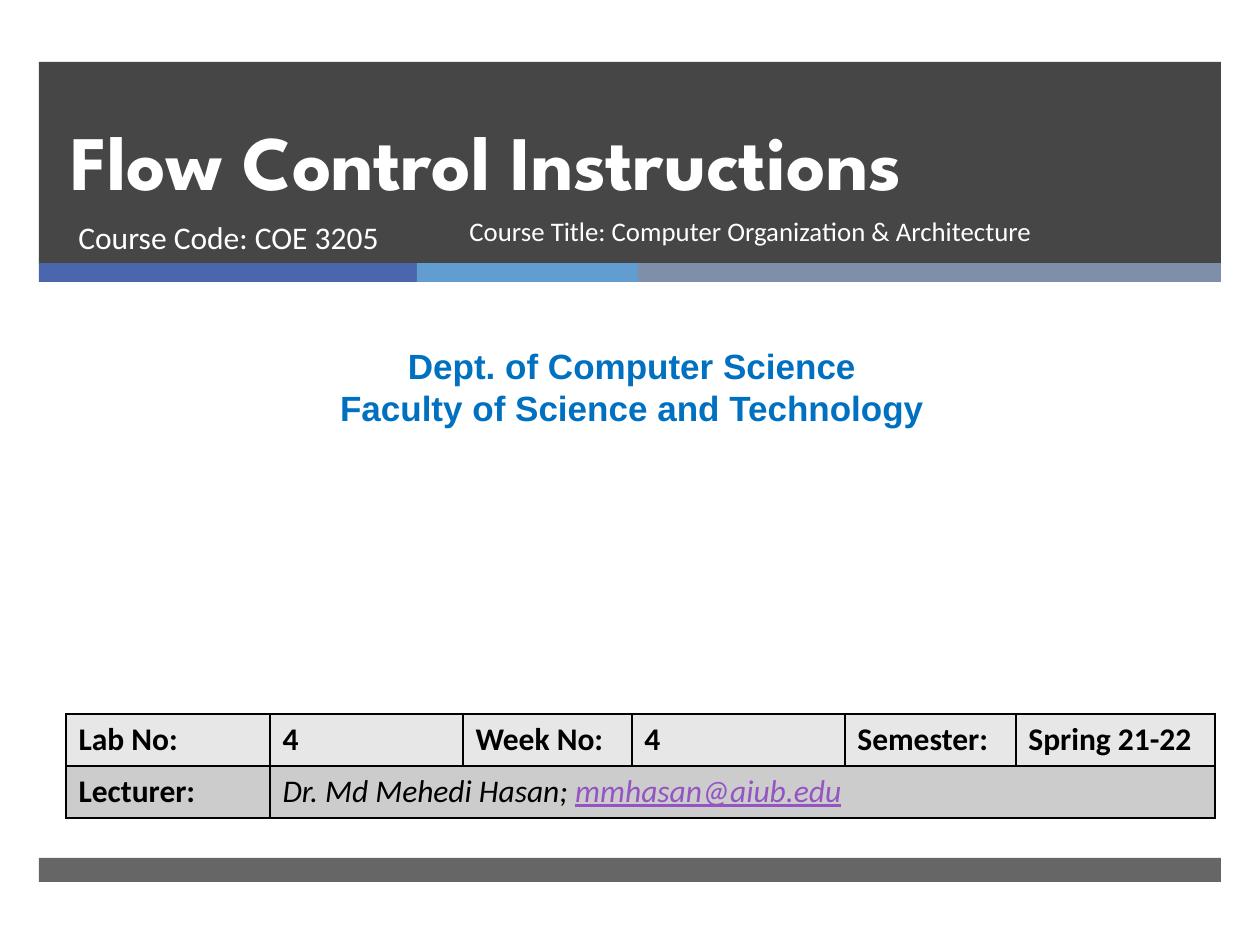
"""Build the title slide of a lab on flow control instructions."""
import pptx
import pptx.util
import pptx.dml.color
import pptx.enum.shapes
import pptx.enum.text
import pptx.oxml
import pptx.oxml.ns
from dataclasses import dataclass

SCALE = 914400 / 126


@dataclass(frozen=True)
class Theme:
    dark: str = "262626"
    white: str = "FFFFFF"
    black: str = "000000"
    blue: str = "0070C0"
    link: str = "9454C3"
    bars: tuple = ("4A66AC", "629DD1", "7F8FA9")
    rows: tuple = ("E7E7E7", "CCCCCC")
    head: str = "League Spartan"
    body: str = "Calibri"
    sans: str = "Arial"
    big: float = 44
    mid: float = 20
    base: float = 18
    small: float = 15.3


def emu(px):
    return pptx.util.Emu(round(px * SCALE))


def rgb(code):
    return pptx.dml.color.RGBColor.from_string(code)


class Page:
    def __init__(self, deck, theme):
        self.theme = theme
        self.slide = deck.slides.add_slide(deck.slide_layouts[6])

    def bar(self, x, y, w, h, color, alpha=100):
        kind = pptx.enum.shapes.MSO_SHAPE.RECTANGLE
        shape = self.slide.shapes.add_shape(kind, *map(emu, (x, y, w, h)))
        shape.shadow.inherit = False
        shape.fill.solid()
        shape.fill.fore_color.rgb = rgb(color)
        shape.line.fill.background()
        if alpha < 100:
            tint = shape.fill._xPr.find(".//" + pptx.oxml.ns.qn("a:srgbClr"))
            part = pptx.oxml.parse_xml(
                f'<a:alpha {pptx.oxml.ns.nsdecls("a")} val="{alpha * 1000}"/>')
            tint.append(part)

    def run(self, para, text, size, font, color, bold=False, slant=False, under=False):
        run = para.add_run()
        run.text = text
        face = run.font
        face.size, face.name = pptx.util.Pt(size), font
        face.bold, face.italic, face.underline = bold, slant, under
        face.color.rgb = rgb(color)

    def text(self, x, y, w, h, lines, size, font, color, bold=False,
             align="LEFT", anchor="TOP", space=None):
        box = self.slide.shapes.add_textbox(*map(emu, (x, y, w, h)))
        frame = box.text_frame
        frame.word_wrap = True
        frame.vertical_anchor = getattr(pptx.enum.text.MSO_ANCHOR, anchor)
        for i, line in enumerate(lines):
            para = frame.add_paragraph() if i else frame.paragraphs[0]
            para.alignment = getattr(pptx.enum.text.PP_ALIGN, align)
            if space:
                para.line_spacing = space
            self.run(para, line, size, font, color, bold)

    def edge(self, cell):
        props = cell._tc.get_or_add_tcPr()
        for i, side in enumerate("LRTB"):
            props.insert(i, pptx.oxml.parse_xml(
                f'<a:ln{side} {pptx.oxml.ns.nsdecls("a")} w="12700"><a:solidFill>'
                f'<a:srgbClr val="{self.theme.black}"/></a:solidFill></a:ln{side}>'))

    def table(self, x, y, cols, high, rows):
        theme = self.theme
        size = (x, y, sum(cols), high * len(rows))
        grid = self.slide.shapes.add_table(
            len(rows), len(cols), *map(emu, size)).table
        for col, wide in zip(grid.columns, cols):
            col.width = emu(wide)
        for r, (row, fill) in enumerate(zip(rows, theme.rows)):
            grid.rows[r].height = emu(high)
            for c in range(len(cols)):
                cell = grid.cell(r, c)
                cell.fill.solid()
                cell.fill.fore_color.rgb = rgb(fill)
                self.edge(cell)
                for text, style in row[c] if c < len(row) else ():
                    look = {"color": theme.black, **style}
                    self.run(cell.text_frame.paragraphs[0], text,
                             theme.base, theme.body, **look)
            if len(row) < len(cols):
                grid.cell(r, len(row) - 1).merge(grid.cell(r, len(cols) - 1))


def main():
    deck = pptx.Presentation()
    deck.slide_width, deck.slide_height = emu(1260), emu(945)
    theme = Theme()
    page = Page(deck, theme)

    left, wide = 39, 1182
    page.bar(left, 62, wide, 202, theme.dark, 85)
    x = left
    for w, color in zip((378, 221, 583), theme.bars):
        page.bar(x, 263, w, 19, color)
        x += w
    page.bar(left, 858, wide, 24, theme.dark, 70)

    page.text(58, 62, 1076, 150, ["Flow Control Instructions"], theme.big, theme.head,
              theme.white, bold=True, anchor="BOTTOM", space=pptx.util.Pt(46))
    page.text(66, 212, 384, 67, ["Course Code: COE 3205"],
              theme.base, theme.body, theme.white)
    page.text(457, 212, 591, 67, ["Course Title: Computer Organization & Architecture"],
              theme.small, theme.body, theme.white, space=0.9)
    page.text(10, 338, 1244, 97,
              ["Dept. of Computer Science", "Faculty of Science and Technology"],
              theme.mid, theme.sans, theme.blue, bold=True, align="CENTER")

    bold = {"bold": True}
    facts = ("Lab No:", "4", "Week No:", "4", "Semester:", "Spring 21-22")
    mail = {"color": theme.link, "slant": True, "under": True}
    page.table(66, 714, (204, 193, 169, 213, 171, 199), 52, [
        [[(fact, bold)] for fact in facts],
        [[("Lecturer:", bold)],
         [("Dr. Md Mehedi Hasan; ", {"slant": True}), ("mmhasan@aiub.edu", mail)]],
    ])
    deck.save("out.pptx")


if __name__ == "__main__":
    main()
